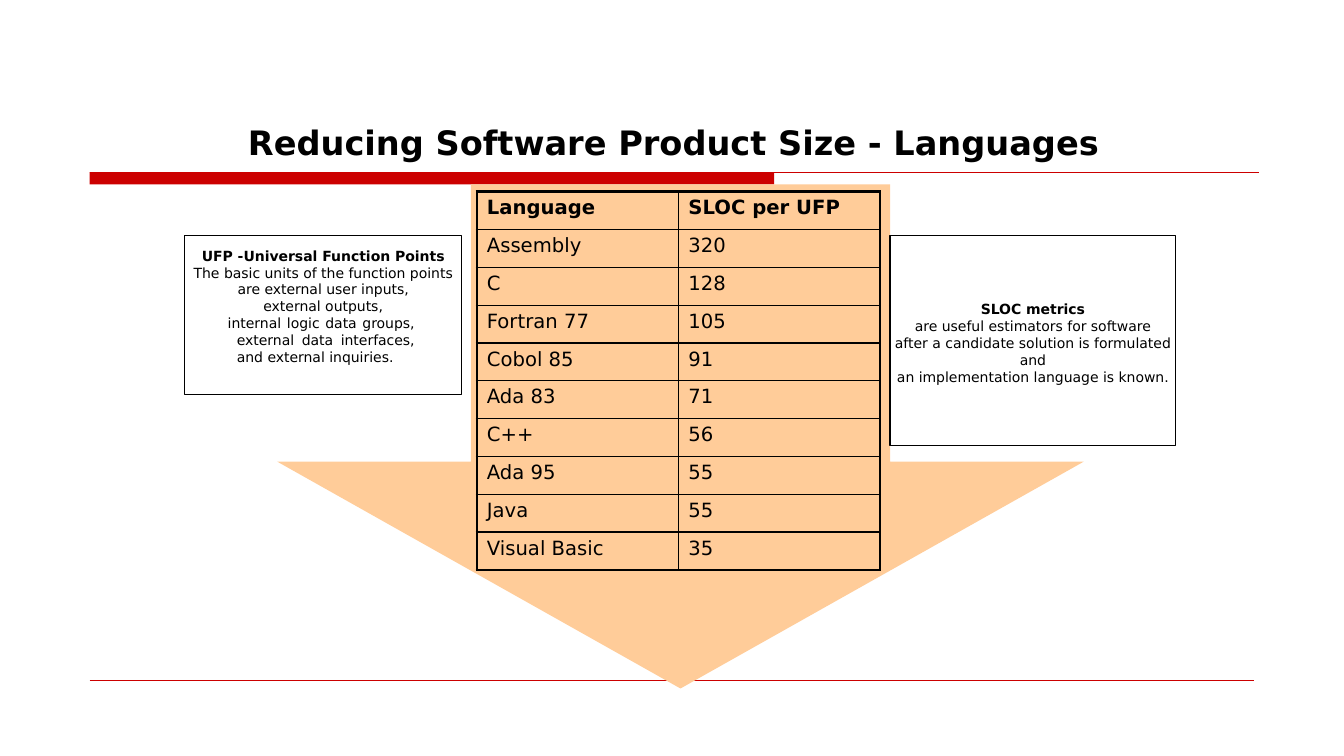
"""Build the slide on reducing software product size by language choice."""
from lxml import etree
from pptx import Presentation
from pptx.dml.color import RGBColor
from pptx.enum.shapes import MSO_CONNECTOR, MSO_SHAPE
from pptx.enum.text import MSO_ANCHOR, PP_ALIGN
from pptx.oxml.ns import qn
from pptx.util import Cm, Pt

STRAIGHT = MSO_CONNECTOR.STRAIGHT
RECTANGLE, DOWN_ARROW = MSO_SHAPE.RECTANGLE, MSO_SHAPE.DOWN_ARROW
TOP = MSO_ANCHOR.TOP
LEFT, CENTER, JUSTIFY = PP_ALIGN.LEFT, PP_ALIGN.CENTER, PP_ALIGN.JUSTIFY
FONT = "DejaVu Sans"
COLORS = {"text": "000000", "paper": "FFFFFF", "accent": "CC0000", "arrow": "FFCC99"}
OUTER_BORDER, INNER_BORDER = 2.25, 1

LANGUAGE_SIZES = [
    ("Language", "SLOC per UFP"),
    ("Assembly", "320"),
    ("C", "128"),
    ("Fortran 77", "105"),
    ("Cobol 85", "91"),
    ("Ada 83", "71"),
    ("C++", "56"),
    ("Ada 95", "55"),
    ("Java", "55"),
    ("Visual Basic", "35"),
]
UFP_NOTE = [
    ("UFP -Universal Function Points", CENTER),
    ("The basic units of the function points", CENTER),
    ("are external user inputs,", CENTER),
    ("external outputs,", CENTER),
    ("internal logic data groups, external data interfaces, and external inquiries.", JUSTIFY),
]
SLOC_NOTE = [
    ("SLOC metrics", CENTER),
    ("are useful estimators for software", CENTER),
    ("after a candidate solution is formulated and", CENTER),
    ("an implementation language is known.", CENTER),
]


def color(name):
    """Return the named colour."""
    return RGBColor.from_string(COLORS[name])


def write(paragraph, text, size, bold=False, align=LEFT):
    """Put text in a paragraph and style it."""
    paragraph.text = text
    paragraph.alignment = align
    font = paragraph.font
    font.name, font.size, font.bold = FONT, Pt(size), bold
    font.color.rgb = color("text")


def clear_margins(frame, top):
    """Wrap a text frame from its top edge with only a top margin."""
    frame.word_wrap = True
    frame.vertical_anchor = TOP
    frame.margin_left = frame.margin_right = frame.margin_bottom = 0
    frame.margin_top = Cm(top)


def add_filled(slide, kind, left, top, width, height, fill):
    """Add a flat, borderless shape."""
    shape = slide.shapes.add_shape(kind, Cm(left), Cm(top), Cm(width), Cm(height))
    shape.shadow.inherit = False
    shape.fill.solid()
    shape.fill.fore_color.rgb = color(fill)
    shape.line.fill.background()
    return shape


def add_rule(slide, left, top, width, weight):
    """Add a thin horizontal accent line."""
    rule = slide.shapes.add_connector(STRAIGHT, Cm(left), Cm(top), Cm(left + width), Cm(top))
    rule.line.color.rgb = color("accent")
    rule.line.width = Pt(weight)
    etree.SubElement(rule.element.spPr, qn("a:effectLst"))


def add_frame(slide, left, top, width, height):
    """Add the header bar and the rules above and below the content."""
    add_filled(slide, RECTANGLE, left, top, 17.25, 0.31, "accent")
    add_rule(slide, left, top, width, 0.75)
    add_rule(slide, left, top + height, width - 0.13, 0.25)


def add_title(slide, left, top, width, height):
    """Add the slide title."""
    title = slide.shapes.add_textbox(Cm(left), Cm(top), Cm(width), Cm(height))
    clear_margins(title.text_frame, 0)
    write(title.text_frame.paragraphs[0],
          "Reducing Software Product Size - Languages", 24, bold=True)


def add_size_arrow(slide, left, top, width, height):
    """Add the broad arrow behind the table."""
    arrow = add_filled(slide, DOWN_ARROW, left, top, width, height, "arrow")
    arrow.adjustments[0] = 0.52
    arrow.adjustments[1] = 0.45


def set_borders(cell, weights):
    """Draw the left, right, top and bottom borders of a cell."""
    properties = cell._tc.get_or_add_tcPr()
    for index, (side, weight) in enumerate(zip("LRTB", weights)):
        border = etree.Element(qn(f"a:ln{side}"), w=str(Pt(weight)))
        fill = etree.SubElement(border, qn("a:solidFill"))
        etree.SubElement(fill, qn("a:srgbClr"), val=COLORS["text"])
        properties.insert(index, border)


def add_language_table(slide, left, top, width, height):
    """Add the table of code size per function point."""
    last_row, last_column = len(LANGUAGE_SIZES) - 1, len(LANGUAGE_SIZES[0]) - 1
    table = slide.shapes.add_table(last_row + 1, last_column + 1, Cm(left), Cm(top),
                                   Cm(width), Cm(height)).table
    table.first_row = table.horz_banding = False
    for row, entries in enumerate(LANGUAGE_SIZES):
        for column, entry in enumerate(entries):
            cell = table.cell(row, column)
            cell.fill.background()
            cell.margin_left, cell.margin_top = Cm(0.25), Cm(0.12)
            cell.margin_right = cell.margin_bottom = 0
            write(cell.text_frame.paragraphs[0], entry, 14, bold=row == 0)
            outer_sides = (column == 0, column == last_column, row == 0, row == last_row)
            set_borders(cell, [OUTER_BORDER if outer else INNER_BORDER for outer in outer_sides])


def add_note(slide, left, top, width, height, lines, text_top):
    """Add a bordered note whose first line is its heading."""
    note = add_filled(slide, RECTANGLE, left, top, width, height, "paper")
    note.line.color.rgb = color("text")
    note.line.width = Pt(0.75)
    frame = note.text_frame
    clear_margins(frame, text_top)
    for index, (text, align) in enumerate(lines):
        paragraph = frame.add_paragraph() if index else frame.paragraphs[0]
        write(paragraph, text, 10, bold=index == 0, align=align)
        if align == JUSTIFY:
            properties = paragraph._p.get_or_add_pPr()
            for name, length in (("marL", 1.32), ("marR", 1.19), ("indent", -0.23)):
                properties.set(name, str(Cm(length)))


def main():
    """Assemble and save the slide."""
    presentation = Presentation()
    presentation.slide_width, presentation.slide_height = Cm(33.87), Cm(19.05)
    slide = presentation.slides.add_slide(presentation.slide_layouts[6])
    add_frame(slide, 2.26, 4.34, 29.48, 12.8)
    add_size_arrow(slide, 6.99, 4.65, 20.32, 12.7)
    add_title(slide, 6.25, 3.08, 24.9, 1.06)
    add_language_table(slide, 12.02, 4.83, 10.16, 9.53)
    add_note(slide, 4.65, 5.93, 6.99, 4.02, UFP_NOTE, 0.3)
    add_note(slide, 22.43, 5.93, 7.2, 5.29, SLOC_NOTE, 1.65)
    presentation.save("out.pptx")


if __name__ == "__main__":
    main()
